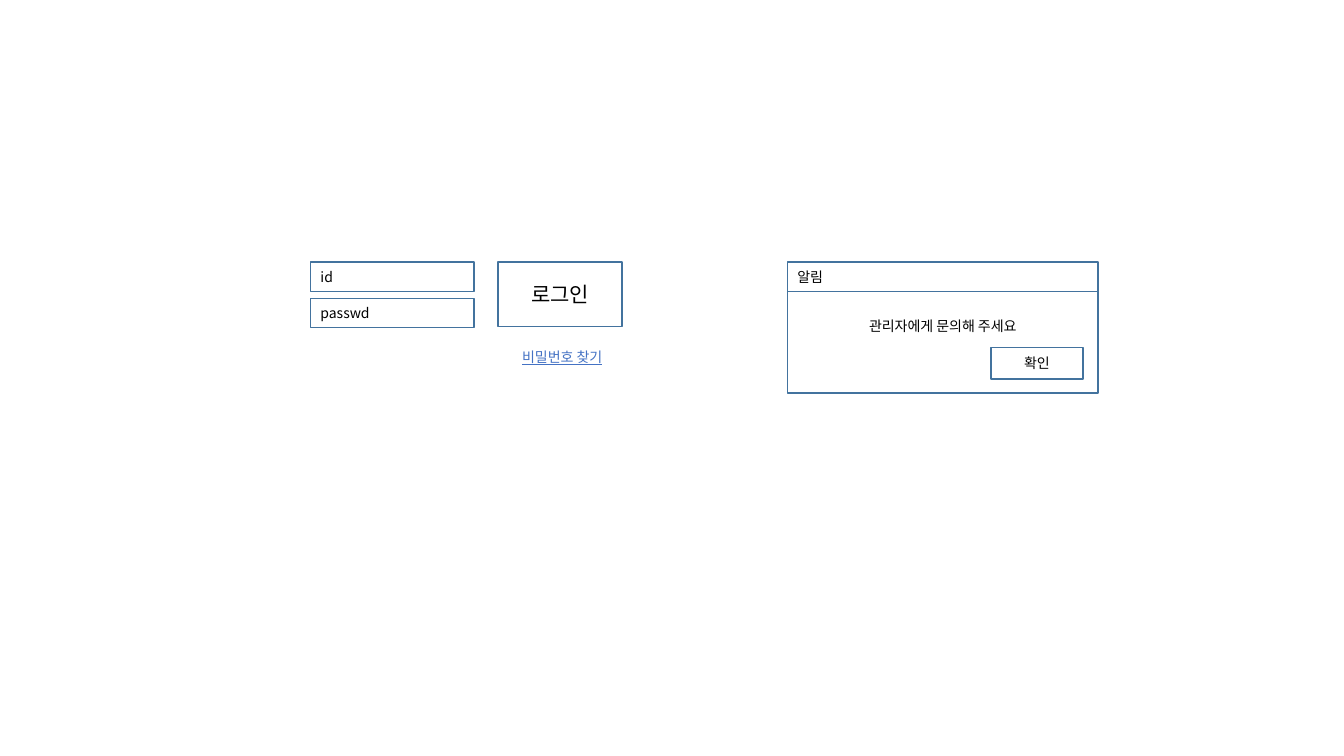
from lxml.etree import SubElement
from pptx import Presentation
from pptx.dml.color import RGBColor
from pptx.enum.shapes import MSO_SHAPE
from pptx.enum.text import MSO_ANCHOR, MSO_AUTO_SIZE, PP_ALIGN
from pptx.oxml.ns import qn
from pptx.util import Inches, Pt

CELL = 0.1


def color(hex_text):
    return RGBColor.from_string(hex_text)


def cells(*counts):
    return [Inches(count * CELL) for count in counts]


def apply(target, values):
    for name, value in values.items():
        setattr(target, name, value)


class Wireframe:
    font = "Noto Sans CJK KR"
    ink = "000000"
    accent = "4472C4"
    border = "43739E"

    def __init__(self, page):
        self.page = page
        self.panel = None

    def group(self):
        self.panel = self.page.shapes.add_group_shape()

    def label(self, box, text, hex_text, size=10, align=PP_ALIGN.LEFT, **font_values):
        para = box.text_frame.paragraphs[0]
        para.alignment = align
        span = para.add_run()
        span.text = text
        apply(span.font, {"name": self.font, "size": Pt(size), **font_values})
        span.font.color.rgb = color(hex_text)
        properties = span._r.get_or_add_rPr()
        SubElement(properties, qn("a:ea"), typeface=self.font)

    def field(self, place, text, lift=0, **style):
        box = self.panel.shapes.add_shape(MSO_SHAPE.RECTANGLE, *cells(*place))
        box.shadow.inherit = False
        box.fill.background()
        box.line.color.rgb = color(self.border)
        box.line.width = Pt(1)
        frame = box.text_frame
        apply(frame, {
            "word_wrap": True,
            "vertical_anchor": MSO_ANCHOR.MIDDLE,
            "margin_bottom": frame.margin_bottom + cells(lift)[0],
        })
        self.label(box, text, self.ink, **style)

    def button(self, place, text, **style):
        self.field(place, text, align=PP_ALIGN.CENTER, **style)

    def link(self, place, text):
        box = self.panel.shapes.add_textbox(*cells(*place))
        apply(box.text_frame, {
            "word_wrap": True,
            "auto_size": MSO_AUTO_SIZE.SHAPE_TO_FIT_TEXT,
        })
        self.label(box, text, self.accent, underline=True)


deck = Presentation()
apply(deck, {"slide_width": Inches(13.33), "slide_height": Inches(7.5)})
wireframe = Wireframe(deck.slides.add_slide(deck.slide_layouts[6]))

top, field_height, field_step = 26, 2.9, 3.6
login_left, alert_left, alert_width = 30.8, 78.1, 30.8

wireframe.group()
for row, prompt in enumerate(("id", "passwd")):
    wireframe.field((login_left, top + row * field_step, 16.2, field_height), prompt)
wireframe.button((49.4, top, 12.3, 6.4), "로그인", size=15)
wireframe.link((50.8, 34.1, 10.9, 2.7), "비밀번호 찾기")

wireframe.group()
wireframe.field((alert_left, top, alert_width, field_height), "알림")
wireframe.button((alert_left, top + field_height, alert_width, 10.1),
                 "관리자에게 문의해 주세요", lift=3.2)
wireframe.button((98.3, 34.5, 9.1, 3.1), "확인")

deck.save("out.pptx")
